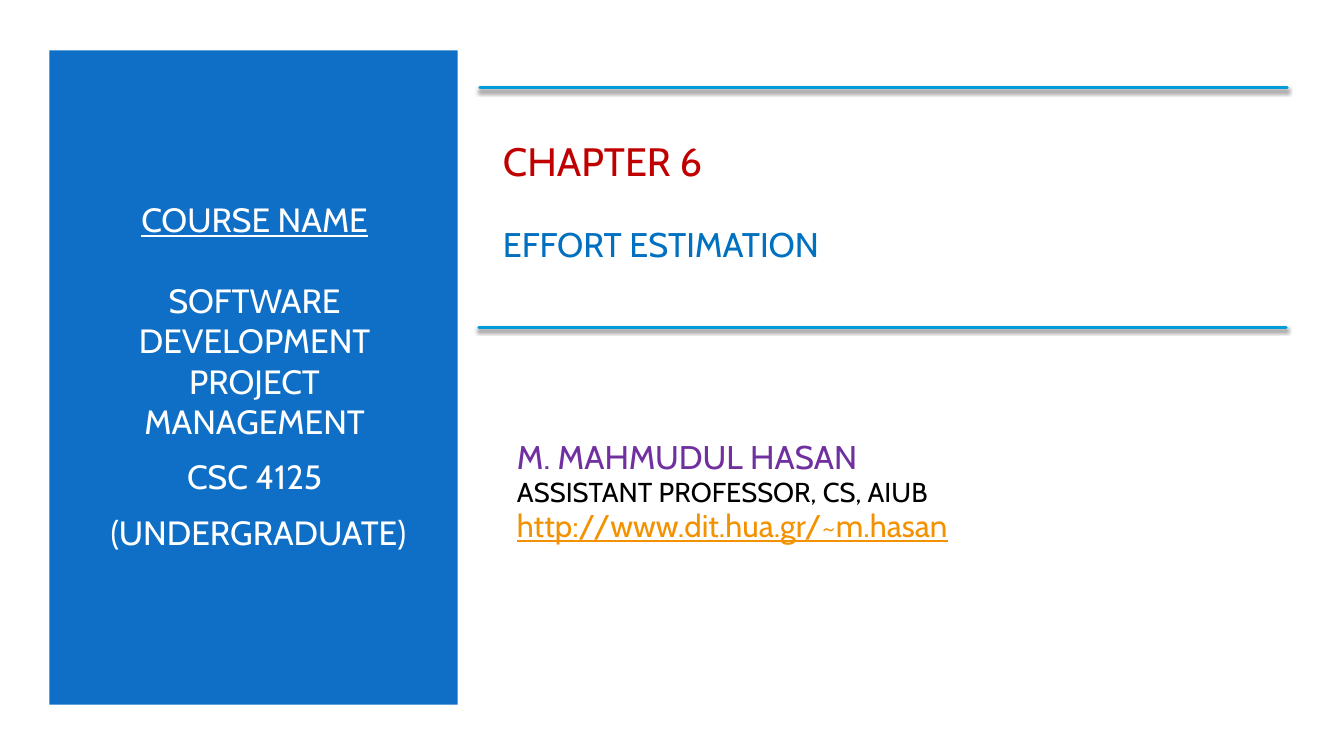
from lxml import etree
from pptx import Presentation
from pptx.dml.color import RGBColor
from pptx.enum.shapes import MSO_CONNECTOR, MSO_SHAPE
from pptx.enum.text import MSO_ANCHOR, PP_ALIGN
from pptx.oxml.ns import qn
from pptx.util import Inches, Pt

STRAIGHT = MSO_CONNECTOR.STRAIGHT
RECTANGLE = MSO_SHAPE.RECTANGLE
MIDDLE = MSO_ANCHOR.MIDDLE
LEFT, CENTER = PP_ALIGN.LEFT, PP_ALIGN.CENTER

FONT = "Cabin"
COLORS = {
    "white": "FFFFFF", "black": "000000", "panel": "0F6FC6", "rule": "009DD9",
    "chapter": "C00000", "topic": "0070C0", "author": "7030A0", "link": "F49100",
}


def color(name):
    return RGBColor.from_string(COLORS[name])


def write_paragraph(para, text, size, fill, align=LEFT, underline=False,
                    before=0, spacing=1.0):
    para.alignment = align
    para.space_before = Pt(before)
    para.space_after = Pt(0)
    para.line_spacing = spacing
    span = para.add_run()
    span.text = text
    span.font.name = FONT
    span.font.size = Pt(size)
    span.font.underline = underline
    span.font.color.rgb = color(fill)


class CoverPage:
    """Places elements by percentages of the slide's width and height."""

    def __init__(self, deck):
        self.deck = deck
        self.page = deck.slides.add_slide(deck.slide_layouts[6])
        background = self.page.background.fill
        background.solid()
        background.fore_color.rgb = color("white")

    def across(self, percent):
        return round(self.deck.slide_width * percent / 100)

    def down(self, percent):
        return round(self.deck.slide_height * percent / 100)

    def area(self, left, top, width, height):
        return self.across(left), self.down(top), self.across(width), self.down(height)

    def panel(self, area, fill):
        shape = self.page.shapes.add_shape(RECTANGLE, *self.area(*area))
        shape.shadow.inherit = False
        shape.fill.solid()
        shape.fill.fore_color.rgb = color(fill)
        shape.line.fill.background()

    def text(self, area, paragraphs, **shared):
        box = self.page.shapes.add_textbox(*self.area(*area))
        frame = box.text_frame
        frame.word_wrap = True
        frame.vertical_anchor = MIDDLE
        for index, (text, style) in enumerate(paragraphs):
            para = frame.add_paragraph() if index else frame.paragraphs[0]
            write_paragraph(para, text, **{**shared, **style})

    def rule(self, left, top, width):
        start, end, height = self.across(left), self.across(left + width), self.down(top)
        line = self.page.shapes.add_connector(STRAIGHT, start, height, end, height)
        line.line.color.rgb = color("rule")
        line.line.width = Pt(2)
        outline = line.line._get_or_add_ln()
        outline.set("cap", "rnd")
        # Soft shadow straight below the line
        effects = etree.SubElement(line._element.spPr, qn("a:effectLst"))
        shadow = etree.SubElement(effects, qn("a:outerShdw"), blurRad=str(Pt(3)),
                                  dist=str(Pt(2)), dir="5400000", rotWithShape="0")
        tint = etree.SubElement(shadow, qn("a:srgbClr"), val=COLORS["black"])
        etree.SubElement(tint, qn("a:alpha"), val="55000")


def main():
    deck = Presentation()
    deck.slide_width, deck.slide_height = Inches(13.33), Inches(7.5)
    cover = CoverPage(deck)

    # Course panel
    cover.panel((3.68, 6.67, 30.38, 86.53), "panel")
    cover.text((6.3, 14.67, 25.28, 70), [
        ("COURSE NAME", {"underline": True}),
        ("SOFTWARE DEVELOPMENT PROJECT MANAGEMENT", {"before": 29}),
        ("CSC 4125", {"before": 10.8}),
        (" (UNDERGRADUATE)", {"before": 10.8}),
    ], size=24, fill="white", align=CENTER)

    # Chapter heading
    cover.text((36.68, 14.67, 58.89, 24.53), [
        ("CHAPTER 6", {"size": 28.3, "fill": "chapter"}),
        ("EFFORT ESTIMATION", {"size": 24.4, "fill": "topic", "before": 31}),
    ], spacing=0.9)

    # Author
    cover.text((37.73, 54.67, 49.96, 20.8), [
        ("M. MAHMUDUL HASAN", {"size": 23.4, "fill": "author"}),
        ("ASSISTANT PROFESSOR, CS, AIUB", {"size": 19.5, "fill": "black"}),
        ("http://www.dit.hua.gr/~m.hasan",
         {"size": 22.4, "fill": "link", "underline": True}),
    ], spacing=0.97)

    # Rules above and below the heading
    for left, top in ((35.7, 11.6), (35.62, 43.33)):
        cover.rule(left, top, 60.08)

    deck.save("out.pptx")


if __name__ == "__main__":
    main()
